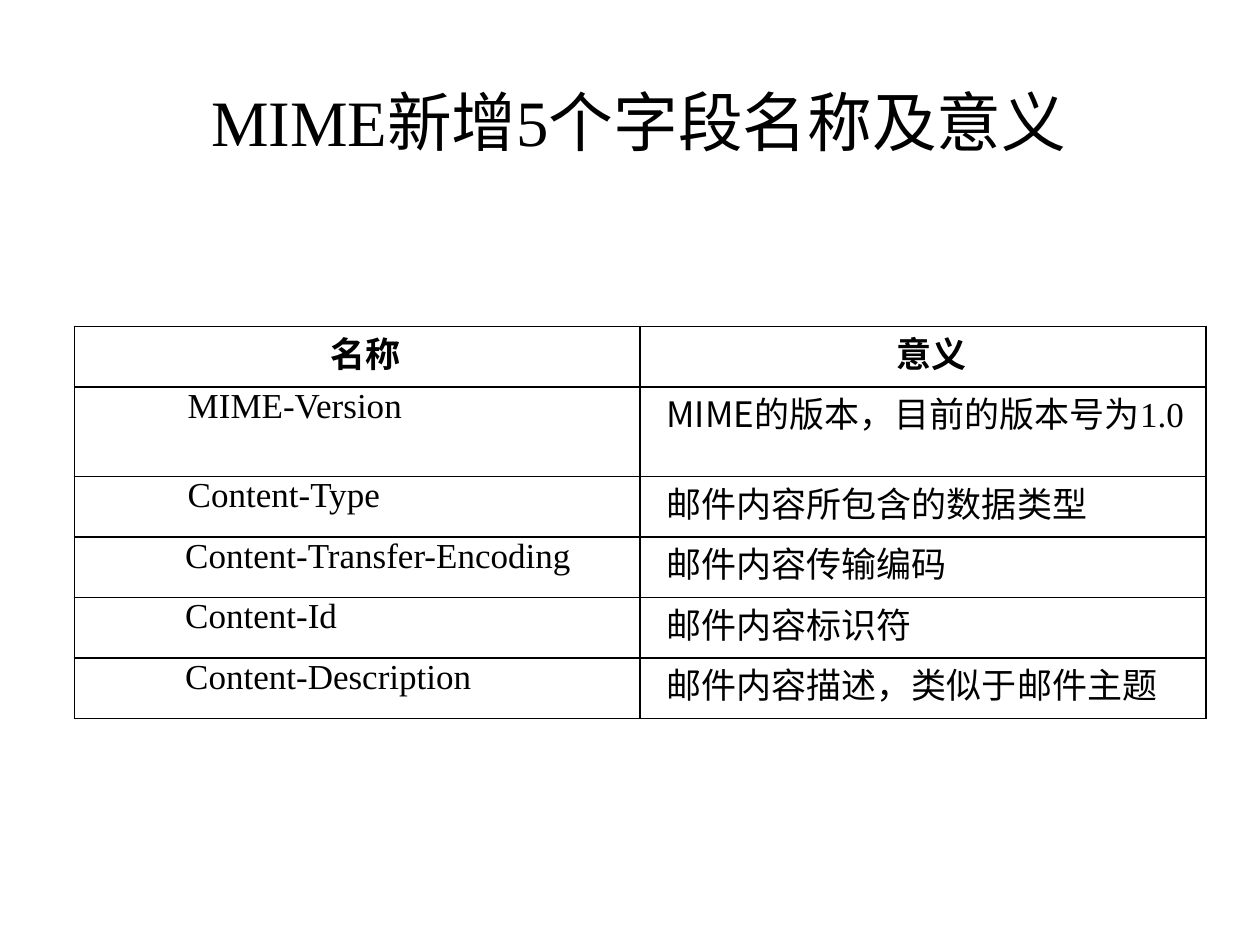
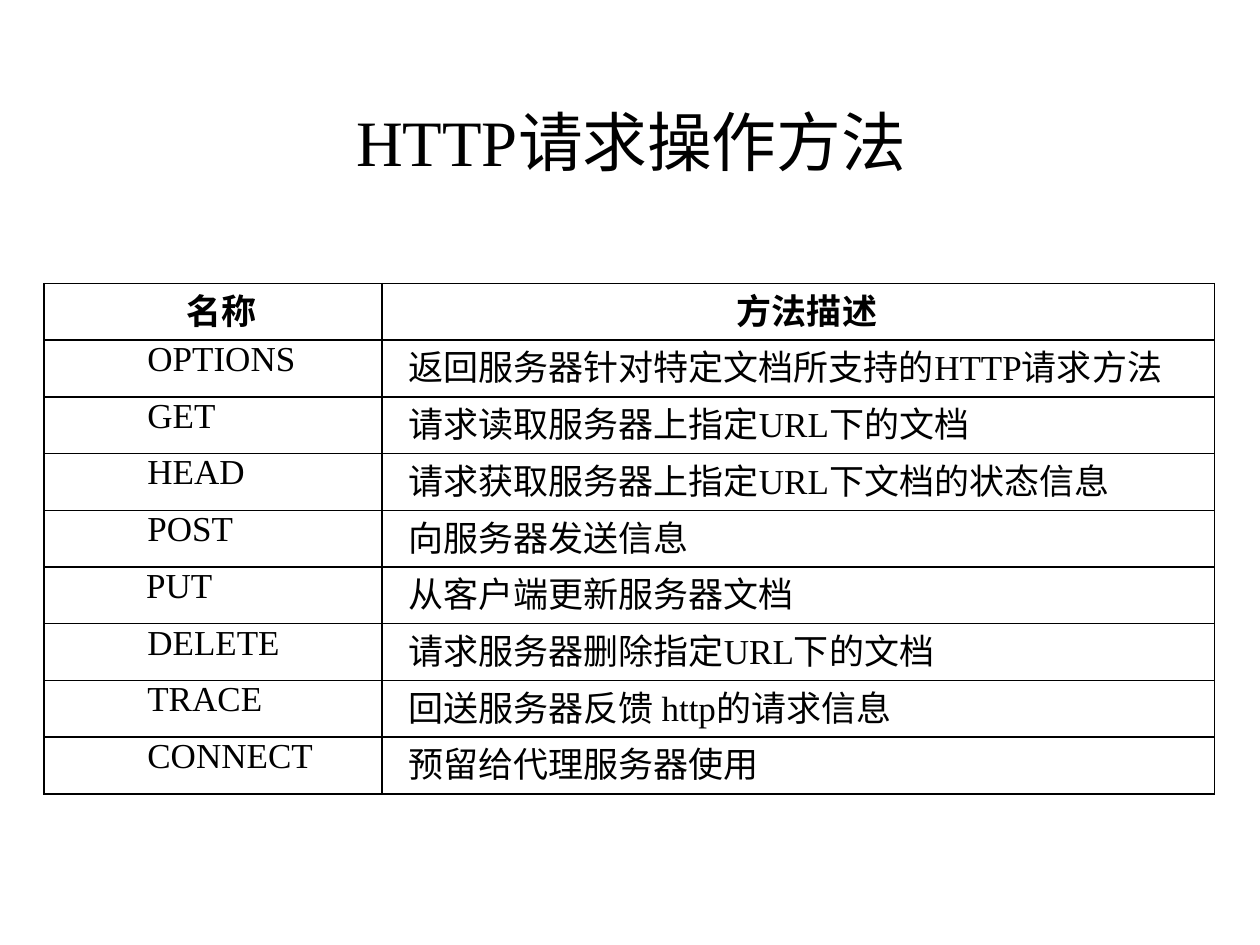
from lxml import etree
from pptx import Presentation
from pptx.dml.color import RGBColor
from pptx.enum.text import MSO_ANCHOR, MSO_AUTO_SIZE, PP_ALIGN
from pptx.oxml.ns import qn
from pptx.util import Pt

EMU_PER_PX = 9144  # 100 px to the inch
TITLE_ONLY_LAYOUT = 5
CENTER, JUSTIFY = PP_ALIGN.CENTER, PP_ALIGN.JUSTIFY
TOP, NO_FIT = MSO_ANCHOR.TOP, MSO_AUTO_SIZE.NONE

COLORS = {"text": "000000", "border": "000000"}
LATIN_FONT = "Times New Roman"
CJK_FONT = "Noto Sans CJK SC"
TITLE_SIZE = 37
TABLE_SIZE = 20
BORDER_WIDTH = 1
CELL_MARGIN = 7
TEXT_INDENT = 14

# Each row: name, first-line indent of the name, meaning
MIME_FIELDS = [
    ("MIME-Version", 83, [("MIME", CJK_FONT), ("的版本，目前的版本号为1.0", LATIN_FONT)]),
    ("Content-Type", 83, "邮件内容所包含的数据类型"),
    ("Content-Transfer-Encoding", 81, "邮件内容传输编码"),
    ("Content-Id", 81, "邮件内容标识符"),
    ("Content-Description", 81, "邮件内容描述，类似于邮件主题"),
]
HTTP_METHODS = [
    ("OPTIONS", 75, "返回服务器针对特定文档所支持的HTTP请求方法"),
    ("GET", 75, "请求读取服务器上指定URL下的文档"),
    ("HEAD", 75, "请求获取服务器上指定URL下文档的状态信息"),
    ("POST", 75, "向服务器发送信息"),
    ("PUT", 74, "从客户端更新服务器文档"),
    ("DELETE", 75, "请求服务器删除指定URL下的文档"),
    ("TRACE", 75, "回送服务器反馈 http的请求信息"),
    ("CONNECT", 75, "预留给代理服务器使用"),
]


def px(length):
    return length * EMU_PER_PX


def format_paragraph(paragraph, size, align, margin=0, indent=0, bold=False):
    paragraph.alignment = align
    properties = paragraph._p.get_or_add_pPr()
    properties.set("marL", str(px(margin)))
    properties.set("indent", str(px(indent)))
    font = paragraph.font
    font.size = Pt(size)
    font.bold = bold
    font.color.rgb = RGBColor.from_string(COLORS["text"])
    font.name = LATIN_FONT
    east_asian = etree.SubElement(properties.find(qn("a:defRPr")), qn("a:ea"))
    east_asian.set("typeface", CJK_FONT)


def add_title(slide, text, top, height, margin, indent):
    title = slide.shapes.title
    title.left, title.top = px(51), px(top)
    title.width, title.height = px(900), px(height)
    frame = title.text_frame
    frame.text = text
    frame.word_wrap = True
    frame.auto_size = NO_FIT
    frame.vertical_anchor = TOP
    format_paragraph(frame.paragraphs[0], TITLE_SIZE, CENTER, margin, indent)


def add_borders(cell):
    properties = cell._tc.get_or_add_tcPr()
    for position, side in enumerate(("lnL", "lnR", "lnT", "lnB")):
        line = etree.Element(qn(f"a:{side}"), w=str(Pt(BORDER_WIDTH)))
        fill = etree.SubElement(line, qn("a:solidFill"))
        etree.SubElement(fill, qn("a:srgbClr"), val=COLORS["border"])
        properties.insert(position, line)


def fill_cell(cell, content, align, indent, bold=False):
    cell.margin_left = cell.margin_right = px(CELL_MARGIN)
    cell.margin_top = cell.margin_bottom = 0
    cell.vertical_anchor = TOP
    cell.fill.background()
    add_borders(cell)
    paragraph = cell.text_frame.paragraphs[0]
    if isinstance(content, str):
        paragraph.text = content
    else:
        for text, font_name in content:
            run = paragraph.add_run()
            run.text = text
            run.font.name = font_name
    format_paragraph(paragraph, TABLE_SIZE, align, indent=indent, bold=bold)


def add_definition_table(slide, left, top, column_widths, row_height, headings, entries):
    row_count = len(entries) + 1
    table = slide.shapes.add_table(
        row_count, len(headings), px(left), px(top),
        px(sum(column_widths)), px(row_height * row_count)).table
    table.first_row = table.horz_banding = False
    for column, width in zip(table.columns, column_widths):
        column.width = px(width)
    for row in table.rows:
        row.height = px(row_height)
    for column_index, heading in enumerate(headings):
        fill_cell(table.cell(0, column_index), heading, CENTER, TEXT_INDENT, bold=True)
    for row_index, (name, name_indent, meaning) in enumerate(entries, start=1):
        fill_cell(table.cell(row_index, 0), name, JUSTIFY, name_indent)
        fill_cell(table.cell(row_index, 1), meaning, JUSTIFY, TEXT_INDENT)


def main():
    presentation = Presentation()
    presentation.slide_width, presentation.slide_height = px(1000), px(750)
    layout = presentation.slide_layouts[TITLE_ONLY_LAYOUT]

    # MIME header fields
    mime_slide = presentation.slides.add_slide(layout)
    add_title(mime_slide, "MIME新增5个字段名称及意义", 60, 55, margin=40, indent=-28)
    add_definition_table(mime_slide, 59, 259, (449, 449), 48,
                         ("名称", "意义"), MIME_FIELDS)

    # HTTP request methods
    http_slide = presentation.slides.add_slide(layout)
    add_title(http_slide, "HTTP请求操作方法", 76, 71, margin=38, indent=-38)
    add_definition_table(http_slide, 35, 225, (268, 661), 45,
                         ("名称", "方法描述"), HTTP_METHODS)

    presentation.save("out.pptx")


if __name__ == "__main__":
    main()
